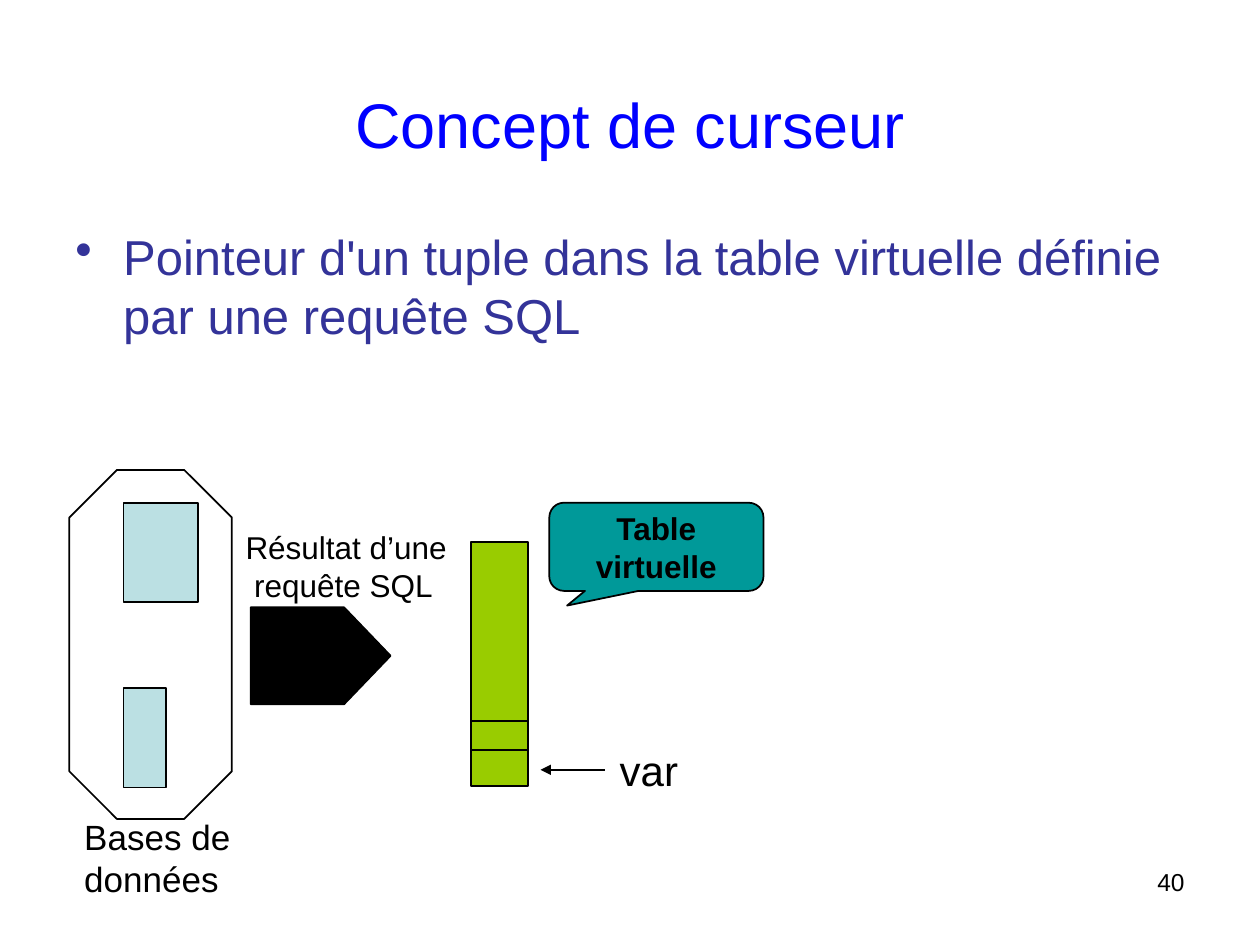
from dataclasses import dataclass

from lxml import etree
from pptx import Presentation
from pptx.dml.color import RGBColor
from pptx.enum import shapes, text
from pptx.oxml.ns import qn
from pptx.util import Emu, Pt

PX = 9144  # 100 px to the inch
BLACK = "000000"
PALE = "BBE0E3"
GREEN = "99CC00"
S = shapes.MSO_SHAPE
LEFT, CENTER, RIGHT = text.PP_ALIGN.LEFT, text.PP_ALIGN.CENTER, text.PP_ALIGN.RIGHT
TOP, MIDDLE = text.MSO_ANCHOR.TOP, text.MSO_ANCHOR.MIDDLE


@dataclass
class Label:
    box: tuple[int, int, int, int]
    lines: list[str]
    size: int
    color: str = BLACK
    align: text.PP_ALIGN = LEFT
    anchor: text.MSO_ANCHOR = TOP
    wrap: bool = True
    grow: bool = False
    bold: bool = False


@dataclass
class Block:
    kind: shapes.MSO_SHAPE
    box: tuple[int, int, int, int]
    fill: str | None = None
    adjust: tuple[float, ...] = ()


@dataclass
class Line:
    x1: int
    x2: int
    y: int
    arrow: bool = False


TITLE = Label((75, 35, 850, 125), ["Concept de curseur"], 36, "0000FF", CENTER, MIDDLE)
BODY = Label((50, 175, 900, 495),
             ["Pointeur d'un tuple dans la table virtuelle définie par une requête SQL"],
             28, "333399")
CALLOUT = Block(S.ROUNDED_RECTANGULAR_CALLOUT, (436, 399, 170, 70), "009999",
                (-0.417, 0.667, 0.167))
CALLOUT_LABEL = Label(CALLOUT.box, ["Table", "virtuelle"], 18, align=CENTER,
                      anchor=MIDDLE, wrap=False, bold=True)
BLOCKS = [
    Block(S.RECTANGLE, (98, 399, 59, 79), PALE),
    Block(S.RECTANGLE, (98, 546, 34, 79), PALE),
    Block(S.PENTAGON, (199, 482, 111, 77), BLACK, (0.48,)),
    Block(S.OCTAGON, (55, 373, 129, 277), None, (0.293,)),
    Block(S.RECTANGLE, (374, 430, 45, 194), GREEN),
]
LINES = [Line(429, 480, 611, arrow=True), Line(374, 419, 595), Line(374, 418, 572)]
LABELS = [
    Label((482, 586, 66, 50), ["var"], 24, wrap=False, grow=True),
    Label((185, 414, 199, 71), ["Résultat d’une", " requête SQL"], 18, grow=True),
    Label((57, 642, 144, 77), ["Bases de", "données"], 20, wrap=False, grow=True),
    Label((717, 683, 233, 52), ["40"], 14, align=RIGHT),
]


def px(*lengths: int) -> list[Emu]:
    return [Emu(n * PX) for n in lengths]


def rgb(color: str) -> RGBColor:
    return RGBColor.from_string(color)


def write(tf, label: Label) -> None:
    tf.word_wrap = label.wrap
    tf.vertical_anchor = label.anchor
    if label.grow:
        tf.auto_size = text.MSO_AUTO_SIZE.SHAPE_TO_FIT_TEXT
    for i, line in enumerate(label.lines):
        p = tf.paragraphs[0] if i == 0 else tf.add_paragraph()
        p.text = line
        p.alignment = label.align
        p.font.name = "Arial"
        p.font.size = Pt(label.size)
        p.font.bold = label.bold
        p.font.color.rgb = rgb(label.color)


def add_label(slide, label: Label):
    sp = slide.shapes.add_textbox(*px(*label.box))
    write(sp.text_frame, label)
    return sp


def add_bullet(p, indent: int) -> None:
    pPr = p._p.get_or_add_pPr()
    pPr.set("marL", str(indent * PX))
    pPr.set("indent", str(-indent * PX))
    bullet = etree.Element(qn("a:buChar"), char="•")
    pPr.insert_element_before(bullet, "a:tabLst", "a:defRPr", "a:extLst")


def add_block(slide, block: Block):
    sp = slide.shapes.add_shape(block.kind, *px(*block.box))
    sp.shadow.inherit = False
    for i, value in enumerate(block.adjust):
        sp.adjustments[i] = value
    if block.fill:
        sp.fill.solid()
        sp.fill.fore_color.rgb = rgb(block.fill)
    else:
        sp.fill.background()
    sp.line.color.rgb = rgb(BLACK)
    sp.line.width = Pt(1)
    return sp


def add_line(slide, line: Line) -> None:
    cxn = slide.shapes.add_connector(shapes.MSO_CONNECTOR.STRAIGHT,
                                     *px(line.x1, line.y, line.x2, line.y))
    cxn.line.color.rgb = rgb(BLACK)
    cxn.line.width = Pt(1)
    if line.arrow:
        etree.SubElement(cxn.line._get_or_add_ln(), qn("a:headEnd"), type="triangle")
    etree.SubElement(cxn._element.spPr, qn("a:effectLst"))


def main() -> None:
    prs = Presentation()
    prs.slide_width, prs.slide_height = px(1000, 750)
    slide = prs.slides.add_slide(prs.slide_layouts[6])

    add_label(slide, TITLE)
    body = add_label(slide, BODY)
    p = body.text_frame.paragraphs[0]
    p.space_before = Pt(5.6)
    add_bullet(p, 38)

    for block in BLOCKS:
        add_block(slide, block)
    callout = add_block(slide, CALLOUT)
    write(callout.text_frame, CALLOUT_LABEL)
    for line in LINES:
        add_line(slide, line)
    for label in LABELS:
        add_label(slide, label)

    prs.save("out.pptx")


if __name__ == "__main__":
    main()
